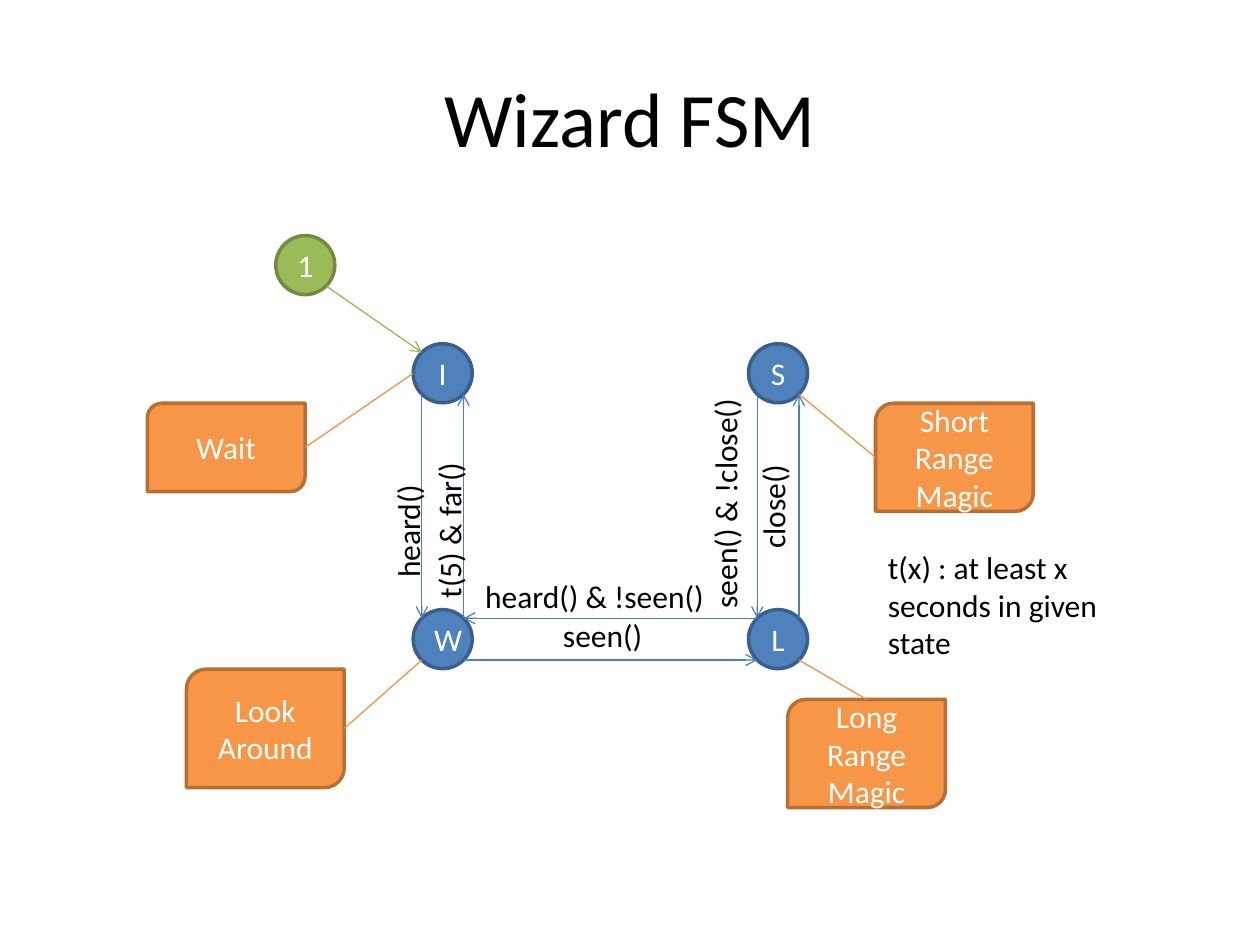
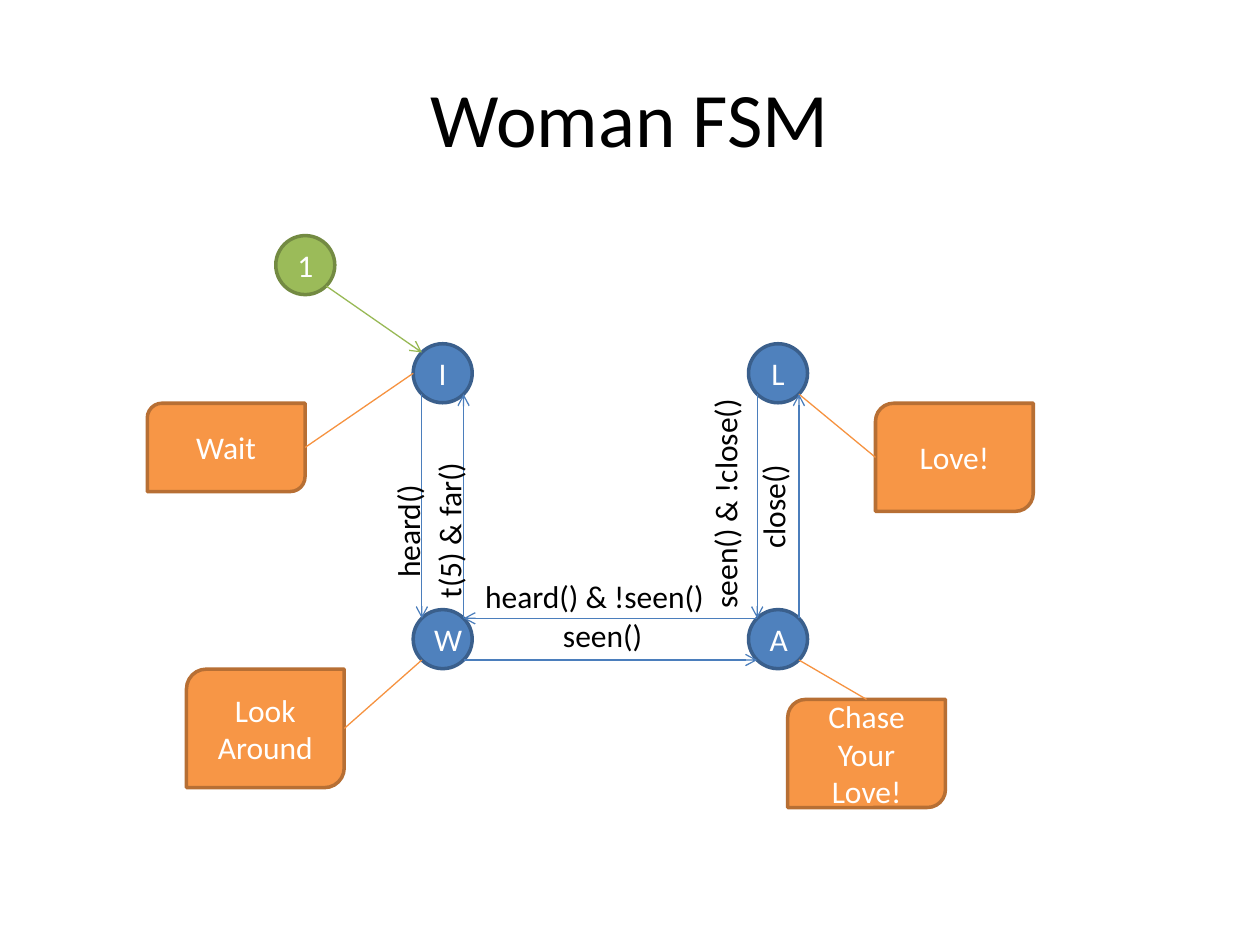
import dataclasses
import math
import typing

import lxml.etree
import pptx
import pptx.dml.color
import pptx.enum.shapes
import pptx.enum.text
import pptx.oxml.ns
import pptx.util

Cm = pptx.util.Cm
Pt = pptx.util.Pt
SHAPE = pptx.enum.shapes.MSO_SHAPE
ALIGN = pptx.enum.text.PP_ALIGN
ANCHOR = pptx.enum.text.MSO_ANCHOR
AUTO_SIZE = pptx.enum.text.MSO_AUTO_SIZE

COLORS = {
    "text": "000000",
    "on_fill": "FFFFFF",
    "start": "9BBB59",
    "start_border": "738A42",
    "start_arrow": "98B955",
    "state": "4F81BD",
    "state_border": "3A5F8C",
    "transition": "4B7EBC",
    "action": "F79646",
    "action_border": "B76F34",
    "action_link": "F69240",
}
FONT_NAME = "Calibri"
BODY_SIZE = 18
NODE_SIZE = 1.19
LEFT_COLUMN, RIGHT_COLUMN = 8.33, 15.09
TOP_ROW, BOTTOM_ROW = 6.93, 12.29
CARD_WIDTH = 3.18
LABEL_HEIGHT = 1.02
LABEL_FRAME = {"word_wrap": True, "auto_size": AUTO_SIZE.SHAPE_TO_FIT_TEXT}
TITLE_FRAME = {"word_wrap": True, "vertical_anchor": ANCHOR.MIDDLE}

Point = tuple[float, float]


@dataclasses.dataclass(frozen=True)
class Block:
    left: float
    top: float
    width: float
    height: float
    kind: str
    geometry: typing.Any

    def edge(self, across: int, down: int) -> Point:
        reach = math.sqrt(0.5) if across and down else 1
        return (
            self.left + self.width / 2 * (1 + across * reach),
            self.top + self.height / 2 * (1 + down * reach),
        )


@dataclasses.dataclass(frozen=True)
class Label:
    text: str
    left: float
    top: float
    width: float
    height: float = LABEL_HEIGHT
    rotation: int = 0


@dataclasses.dataclass(frozen=True)
class Link:
    begin: Point
    end: Point
    color: str
    arrow: bool = True


@dataclasses.dataclass(frozen=True)
class Machine:
    title: str
    block_texts: dict[str, str]
    notes: tuple[Label, ...] = ()


def node(left: float, top: float, kind: str = "state") -> Block:
    return Block(left, top, NODE_SIZE, NODE_SIZE, kind, SHAPE.OVAL)


def card(left: float, top: float, height: float) -> Block:
    return Block(left, top, CARD_WIDTH, height, "action", SHAPE.ROUND_2_DIAG_RECTANGLE)


BLOCKS = {
    "start": node(5.56, 4.75, "start"),
    "idle": node(LEFT_COLUMN, TOP_ROW),
    "watch": node(LEFT_COLUMN, BOTTOM_ROW),
    "far": node(RIGHT_COLUMN, BOTTOM_ROW),
    "near": node(RIGHT_COLUMN, TOP_ROW),
    "idle_action": card(2.97, 8.13, 1.78),
    "watch_action": card(3.76, 13.49, 2.39),
    "far_action": card(15.88, 14.1, 2.18),
    "near_action": card(17.65, 8.13, 2.18),
}


def link(begin: str, begin_side: Point, end: str, end_side: Point,
         color: str = "transition", arrow: bool = True) -> Link:
    return Link(BLOCKS[begin].edge(*begin_side), BLOCKS[end].edge(*end_side), color, arrow)


LINKS = [
    link("start", (1, 1), "idle", (-1, -1), "start_arrow"),
    link("watch", (1, 1), "far", (-1, 1)),
    link("far", (-1, -1), "watch", (1, -1)),
    link("idle_action", (1, 0), "idle", (-1, 0), "action_link", False),
    link("near_action", (-1, 0), "near", (1, 1), "action_link", False),
    link("far_action", (0, -1), "far", (1, 1), "action_link", False),
    link("watch_action", (1, 0), "watch", (-1, 1), "action_link", False),
]
for upper, lower in (("idle", "watch"), ("near", "far")):
    LINKS.append(link(upper, (-1, 1), lower, (-1, -1)))
    LINKS.append(link(lower, (1, -1), upper, (1, 1)))

LABELS = [
    Label("heard()", 6.63, 9.8, 3.18, rotation=270),
    Label("t(5) & far()", 7.26, 10.01, 3.58, rotation=270),
    Label("heard() & !seen()", 9.53, 11.51, 5.77),
    Label("seen()", 11.1, 12.29, 2.59),
    Label("close()", 14.1, 9.32, 2.97, rotation=270),
    Label("seen() & !close()", 11.73, 9.12, 5.77, rotation=270),
]
COMMON_TEXTS = {
    "start": "1",
    "idle": "I",
    "watch": "W",
    "idle_action": "Wait",
    "watch_action": "Look\nAround",
}
MACHINES = [
    Machine(
        "Wizard FSM",
        {
            "far": "L",
            "near": "S",
            "far_action": "Long Range\nMagic",
            "near_action": "Short\nRange\nMagic",
        },
        (Label("t(x) : at least x seconds in given state", 17.65, 10.92, 5.36, 2.57),),
    ),
    Machine(
        "Woman FSM",
        {
            "far": "A",
            "near": "L",
            "far_action": "Chase Your Love!",
            "near_action": "Love!",
        },
    ),
]


def rgb(name: str) -> pptx.dml.color.RGBColor:
    return pptx.dml.color.RGBColor.from_string(COLORS[name])


def set_attributes(target: typing.Any, values: dict[str, typing.Any]) -> None:
    for name, value in values.items():
        setattr(target, name, value)


def write_text(shape: typing.Any, text: str, color: str, alignment: typing.Any,
               size: int = BODY_SIZE) -> None:
    shape.text_frame.text = text
    for paragraph in shape.text_frame.paragraphs:
        paragraph.alignment = alignment
        for run in paragraph.runs:
            set_attributes(run.font, {"name": FONT_NAME, "size": Pt(size)})
            run.font.color.rgb = rgb(color)


def draw_block(slide: typing.Any, block: Block, text: str) -> None:
    shape = slide.shapes.add_shape(
        block.geometry, Cm(block.left), Cm(block.top), Cm(block.width), Cm(block.height)
    )
    shape.shadow.inherit = False
    shape.fill.solid()
    shape.fill.fore_color.rgb = rgb(block.kind)
    shape.line.color.rgb = rgb(block.kind + "_border")
    shape.line.width = Pt(2)
    shape.text_frame.vertical_anchor = ANCHOR.MIDDLE
    write_text(shape, text, "on_fill", ALIGN.CENTER)


def draw_label(slide: typing.Any, label: Label, frame: dict[str, typing.Any] = LABEL_FRAME,
               alignment: typing.Any = ALIGN.LEFT, size: int = BODY_SIZE) -> None:
    shape = slide.shapes.add_textbox(
        Cm(label.left), Cm(label.top), Cm(label.width), Cm(label.height)
    )
    shape.rotation = label.rotation
    set_attributes(shape.text_frame, frame)
    write_text(shape, label.text, "text", alignment, size)


def draw_link(slide: typing.Any, connection: Link) -> None:
    connector = slide.shapes.add_connector(
        pptx.enum.shapes.MSO_CONNECTOR.STRAIGHT,
        *(Cm(length) for length in connection.begin + connection.end),
    )
    connector.line.color.rgb = rgb(connection.color)
    connector.line.width = Pt(0.75)
    properties = connector._element.spPr
    if connection.arrow:
        outline = properties.find(pptx.oxml.ns.qn("a:ln"))
        lxml.etree.SubElement(outline, pptx.oxml.ns.qn("a:tailEnd"), type="arrow")
    lxml.etree.SubElement(properties, pptx.oxml.ns.qn("a:effectLst"))


def draw_machine(presentation: typing.Any, machine: Machine) -> None:
    slide = presentation.slides.add_slide(presentation.slide_layouts[6])
    title = Label(machine.title, 1.27, 0.76, 22.86, 3.18)
    draw_label(slide, title, TITLE_FRAME, ALIGN.CENTER, 44)
    texts = COMMON_TEXTS | machine.block_texts
    for name, block in BLOCKS.items():
        draw_block(slide, block, texts[name])
    for connection in LINKS:
        draw_link(slide, connection)
    for label in (*LABELS, *machine.notes):
        draw_label(slide, label)


def main() -> None:
    presentation = pptx.Presentation()
    set_attributes(presentation, {"slide_width": Cm(25.4), "slide_height": Cm(19.05)})
    for machine in MACHINES:
        draw_machine(presentation, machine)
    presentation.save("out.pptx")


main()
